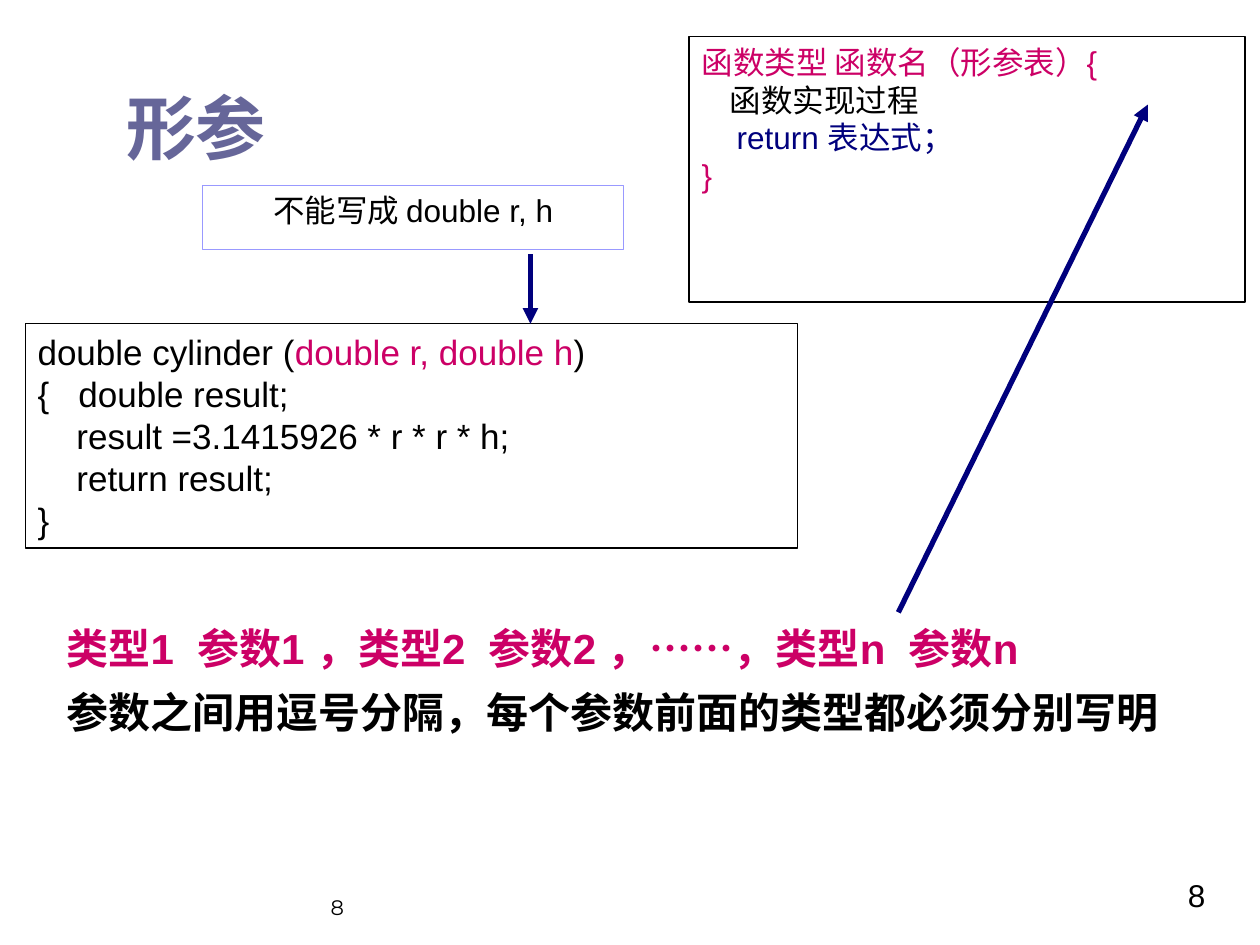
import pptx
import pptx.util
import pptx.dml.color
import pptx.enum.shapes
import pptx.enum.text
import pptx.oxml.ns
from lxml import etree

Inches = pptx.util.Inches
Pt = pptx.util.Pt
ALIGN = pptx.enum.text.PP_ALIGN
ANCHOR = pptx.enum.text.MSO_ANCHOR
BLACK, PINK, NAVY = "000000", "CC0066", "00007D"
SLATE, LILAC = "666699", "9999FF"


def color(code):
    return pptx.dml.color.RGBColor.from_string(code)


class Deck:
    """Holds the style and the current slide."""

    font = "Arial"

    def __init__(self, wide, high):
        self.prs = pptx.Presentation()
        self.prs.slide_width, self.prs.slide_height = Inches(wide), Inches(high)
        self.slide = self.prs.slides.add_slide(self.prs.slide_layouts[5])

    def fill(self, shape, lines, size, bold=False, font=None, wrap=True,
             anchor=ANCHOR.TOP, indent=0, **form):
        """Each line is a list of (text, colour) runs."""
        frame = shape.text_frame
        frame.word_wrap = wrap
        frame.auto_size = pptx.enum.text.MSO_AUTO_SIZE.NONE
        frame.vertical_anchor = anchor
        form = {"alignment": ALIGN.LEFT, **form}
        for i, line in enumerate(lines):
            para = frame.add_paragraph() if i else frame.paragraphs[0]
            for key, value in form.items():
                if i or key != "space_before":
                    setattr(para, key, value)
            if indent:
                props = para._p.get_or_add_pPr()
                props.set("marL", str(Inches(indent)))
                props.set("indent", str(-Inches(indent)))
            for text, code in line:
                run = para.add_run()
                run.text = text
                style = {"name": font or self.font, "size": Pt(size), "bold": bold}
                for key, value in style.items():
                    setattr(run.font, key, value)
                run.font.color.rgb = color(code)

    def title(self, spot, text, size, code):
        shape = self.slide.shapes.title
        for key, value in zip(("left", "top", "width", "height"), spot):
            setattr(shape, key, Inches(value))
        self.fill(shape, [[(text, code)]], size, bold=True, anchor=ANCHOR.MIDDLE)

    def text(self, spot, lines, size, **form):
        shape = self.slide.shapes.add_textbox(*map(Inches, spot))
        self.fill(shape, lines, size, **form)

    def box(self, spot, lines, size, edge=BLACK, width=0.75, **form):
        kind = pptx.enum.shapes.MSO_SHAPE.RECTANGLE
        shape = self.slide.shapes.add_shape(kind, *map(Inches, spot))
        shape.shadow.inherit = False
        shape.fill.background()
        shape.line.color.rgb = color(edge)
        shape.line.width = Pt(width)
        self.fill(shape, lines, size, **form)

    def arrow(self, start, end, code, width):
        kind = pptx.enum.shapes.MSO_CONNECTOR.STRAIGHT
        line = self.slide.shapes.add_connector(kind, *map(Inches, start + end))
        line.line.color.rgb = color(code)
        line.line.width = Pt(width)
        qn = pptx.oxml.ns.qn
        etree.SubElement(line.line._get_or_add_ln(), qn("a:tailEnd"), type="triangle")
        etree.SubElement(line._element.spPr, qn("a:effectLst"))


def main():
    deck = Deck(10, 7.5)

    # Page numbers
    deck.text((9.33, 6.9, 0.55, 0.4), [[("8", BLACK)]], 18)
    deck.text((0.5, 6.83, 2.33, 0.52), [[("8", BLACK)]], 12, font="Montserrat",
              anchor=ANCHOR.BOTTOM, alignment=ALIGN.RIGHT)

    # Title and rule for parameters
    deck.title((0.9, 0.68, 1.98, 0.65), "形参", 40, SLATE)
    deck.text((0.43, 4.85, 9.21, 1.1), [
        [("类型1  参数1 ，类型2  参数2 ，……，类型n  参数n", PINK)],
        [("参数之间用逗号分隔，每个参数前面的类型都必须分别写明", BLACK)],
    ], 24, bold=True, indent=0.38, alignment=ALIGN.JUSTIFY,
        line_spacing=1.1, space_before=Pt(5))

    # Function syntax
    deck.box((5.47, 0.29, 4.41, 2.11), [
        [("函数类型 函数名（形参表）{", PINK)],
        [("    函数实现过程", BLACK)],
        [("    ", BLACK), ("return 表达式；", NAVY)],
        [("}", PINK)],
    ], 18, width=1)

    # Warning and sample code
    deck.box((1.61, 1.47, 3.34, 0.51), [[("不能写成 double r, h", BLACK)]], 18,
             edge=LILAC, wrap=False, alignment=ALIGN.CENTER)
    deck.box((0.2, 2.57, 6.13, 1.78), [
        [("double cylinder (", BLACK), ("double r, double h", PINK), (")", BLACK)],
        [("{   double result;", BLACK)],
        [("    result =3.1415926 * r * r * h;", BLACK)],
        [("    return result;", BLACK)],
        [("}", BLACK)],
    ], 20)

    # Arrows
    deck.arrow((7.13, 4.86), (9.11, 0.83), NAVY, 3)
    deck.arrow((4.21, 2.02), (4.21, 2.57), NAVY, 3)

    deck.prs.save("out.pptx")


if __name__ == "__main__":
    main()
